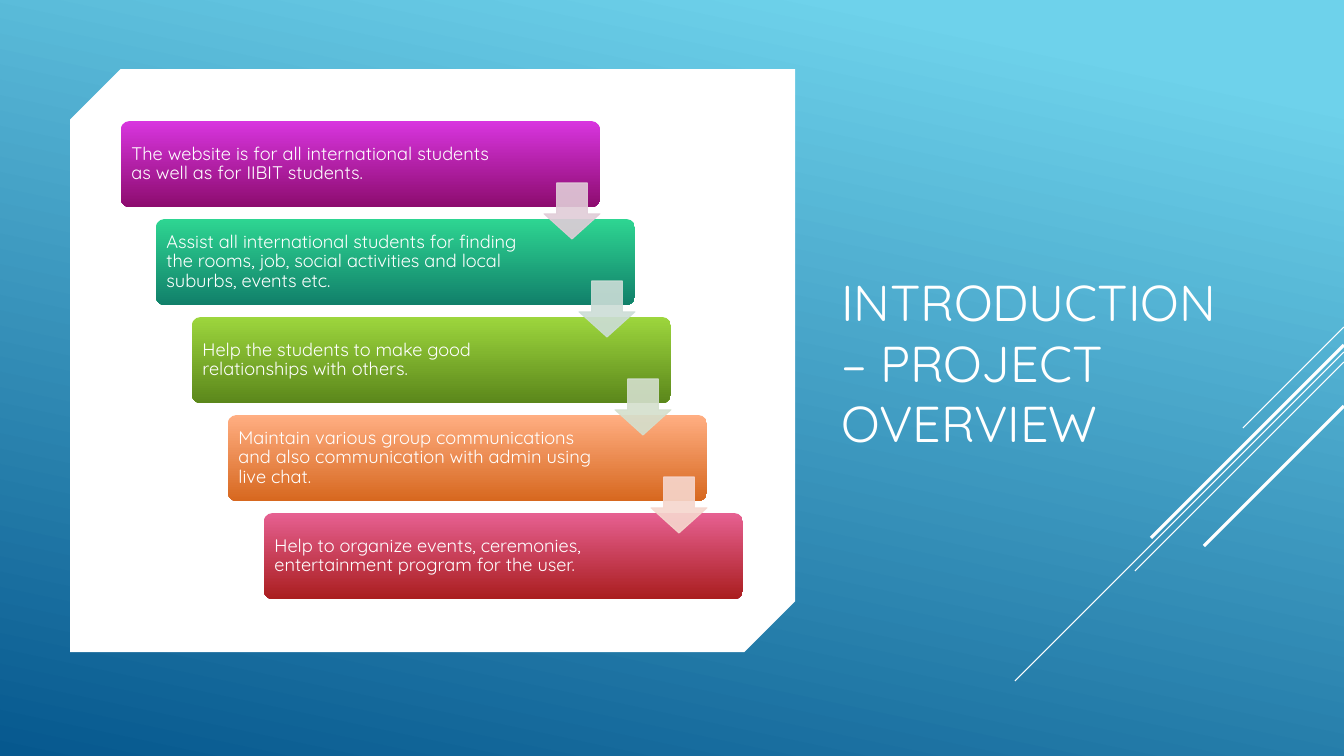
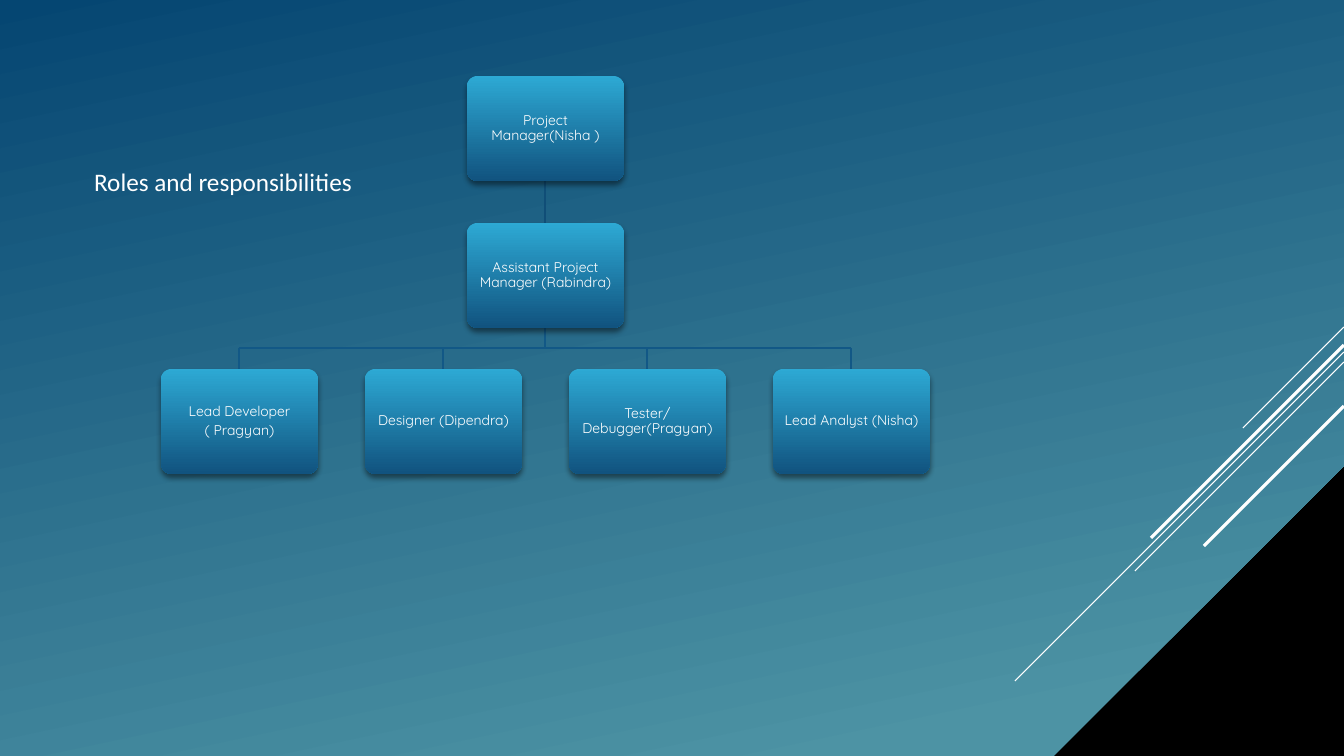
from lxml import etree
from pptx import Presentation
from pptx.dml.color import RGBColor
from pptx.enum.shapes import MSO_CONNECTOR, MSO_SHAPE
from pptx.enum.text import MSO_ANCHOR, MSO_AUTO_SIZE, PP_ALIGN
from pptx.oxml.ns import qn
from pptx.util import Pt

LINE = MSO_CONNECTOR.STRAIGHT
ROUND, SNIP, ARROW = (MSO_SHAPE.ROUNDED_RECTANGLE,
                      MSO_SHAPE.SNIP_2_DIAG_RECTANGLE, MSO_SHAPE.DOWN_ARROW)
LEFT, CENTER = PP_ALIGN.LEFT, PP_ALIGN.CENTER
TOP, MIDDLE, BOTTOM = MSO_ANCHOR.TOP, MSO_ANCHOR.MIDDLE, MSO_ANCHOR.BOTTOM

WHITE = RGBColor(0xFF, 0xFF, 0xFF)
BLACK = RGBColor(0x00, 0x00, 0x00)
SKY = RGBColor(0x6E, 0xD2, 0xEB)
NAVY = RGBColor(0x06, 0x58, 0x8E)
TEAL = RGBColor(0x4D, 0x93, 0xA4)
DEEP = RGBColor(0x05, 0x46, 0x72)
CYAN = RGBColor(0x2D, 0xA9, 0xD4)
BLUE = RGBColor(0x11, 0x53, 0x7F)
STEM = RGBColor(0x10, 0x4E, 0x77)
LIMB = RGBColor(0x12, 0x58, 0x86)
PURPLE = RGBColor(0xD8, 0x35, 0xDF), RGBColor(0x8D, 0x0C, 0x6F)
GREEN = RGBColor(0x2E, 0xD5, 0x92), RGBColor(0x11, 0x80, 0x6A)
LIME = RGBColor(0x9D, 0xD6, 0x3D), RGBColor(0x5B, 0x87, 0x1B)
ORANGE = RGBColor(0xFF, 0xAE, 0x82), RGBColor(0xD7, 0x68, 0x1F)
RED = RGBColor(0xE6, 0x60, 0x91), RGBColor(0xAA, 0x1E, 0x1F)
TINTS = [RGBColor(0xE1, 0xCC, 0xD8), RGBColor(0xCC, 0xDD, 0xD7),
         RGBColor(0xD4, 0xDF, 0xCD), RGBColor(0xF6, 0xD7, 0xCE)]

FONT = "Quicksand"
WIDE, HIGH = 1344, 756
PX = 12192000 / WIDE


def grad(fill, first, last, angle=270, start=0):
    """Fill with two colours; the angle runs counter-clockwise."""
    fill.gradient()
    fill.gradient_angle = angle
    for stop, color, place in zip(fill.gradient_stops, (first, last), (start, 1)):
        stop.color.rgb = color
        stop.position = place


def card(slide, x, y, w, h, text, colors, size, align, left, right):
    """Rounded box with a gradient and white text."""
    box = slide.shapes.add_shape(ROUND, *(round(v * PX) for v in (x, y, w, h)))
    box.adjustments[0] = 0.1
    box.shadow.inherit = False
    box.line.fill.background()
    grad(box.fill, *colors)
    frame = box.text_frame
    frame.word_wrap = True
    frame.vertical_anchor = MIDDLE
    frame.margin_left, frame.margin_right = round(left * PX), round(right * PX)
    frame.text = text
    for para in frame.paragraphs:
        para.alignment = align
        para.line_spacing = 0.9
        para.space_after = Pt(3)
        para.font.name, para.font.size = FONT, Pt(size)
        para.font.color.rgb = WHITE
    return box


deck = Presentation()
deck.slide_width, deck.slide_height = round(WIDE * PX), round(HIGH * PX)
intro, roles = [deck.slides.add_slide(deck.slide_layouts[5]) for _ in range(2)]

# Backgrounds
grad(intro.background.fill, SKY, NAVY, 258, 0.1)
roles.background.fill.solid()
roles.background.fill.fore_color.rgb = BLACK
build = roles.shapes.build_freeform(0, 0, scale=PX)
build.add_line_segments([(WIDE, 0), (WIDE, 466), (1054, HIGH), (0, HIGH)])
pane = build.convert_to_shape()
pane.shadow.inherit = False
pane.line.fill.background()
grad(pane.fill, TEAL, DEEP, 102, 0.1)
roles.shapes._spTree.insert(2, pane._element)

# Titles
for slide, text, place, size, font, anchor in [
    (intro, "INTRODUCTION – PROJECT OVERVIEW", (831, 69, 403, 389), 36, FONT, BOTTOM),
    (roles, "Roles and responsibilities", (84, 161, 300, 40), 18, "Calibri", TOP),
]:
    title = slide.shapes.title
    title.left, title.top, title.width, title.height = (round(v * PX) for v in place)
    frame = title.text_frame
    frame.auto_size = MSO_AUTO_SIZE.NONE
    frame.word_wrap = True
    frame.vertical_anchor = anchor
    frame.text = text
    para = frame.paragraphs[0]
    para.alignment = LEFT
    para.font.name, para.font.size = font, Pt(size)
    para.font.color.rgb = WHITE

# Places of the chart boxes
BOX_W, BOX_H = 157, 105
ROWS = [76, 223, 369]
HEAD = 467
LEAVES = [161 + 204 * i for i in range(4)]
HALF = BOX_W // 2
MID, BAR = HEAD + HALF, 348

# Diagonal stripes of both slides, then the chart lines
lines = [(slide, WIDE, y, WIDE - run, y + run, WHITE, weight)
         for slide in (intro, roles)
         for y, run, weight in [(327, 101, 0.75), (352, 329, 0.75), (362, 209, 0.75),
                                (345, 193, 2.25), (406, 140, 2.25)]]
lines += [(roles, MID, ROWS[0] + BOX_H, MID, ROWS[1], STEM, 1.25),
          (roles, MID, ROWS[1] + BOX_H, MID, BAR, LIMB, 1.25),
          (roles, LEAVES[0] + HALF, BAR, LEAVES[-1] + HALF, BAR, LIMB, 1.25)]
lines += [(roles, x + HALF, BAR, x + HALF, ROWS[2], LIMB, 1.25) for x in LEAVES]
for slide, *ends, color, weight in lines:
    line = slide.shapes.add_connector(LINE, *(round(v * PX) for v in ends))
    line.line.color.rgb = color
    line.line.width = Pt(weight)
    etree.SubElement(line._element.spPr, qn("a:effectLst"))

# White panel
panel = intro.shapes.add_shape(SNIP, *(round(v * PX) for v in (70, 69, 725, 583)))
panel.adjustments[0], panel.adjustments[1] = 0.087, 0
panel.shadow.inherit = False
panel.fill.solid()
panel.fill.fore_color.rgb = WHITE
panel.line.fill.background()

# Steps going down
steps = [
    ("The website is for all international students as well as for IIBIT students.",
     PURPLE),
    ("Assist all international students for finding the rooms, job, social "
     "activities and local suburbs, events etc.", GREEN),
    ("Help the students to make good relationships with others.", LIME),
    ("Maintain various group communications and also communication with admin "
     "using live chat.", ORANGE),
    ("Help to organize events, ceremonies, entertainment program for the user.", RED),
]
for i, (text, colors) in enumerate(steps):
    card(intro, 121 + 143 * i // 4, 121 + 98 * i, 479, 86, text, colors, 13, LEFT, 8, 100)

# Arrows between the steps
for i, tint in enumerate(TINTS):
    place = (544 + 143 * i // 4, 183 + 98 * i, 56, 56)
    arrow = intro.shapes.add_shape(ARROW, *(round(v * PX) for v in place))
    arrow.adjustments[0], arrow.adjustments[1] = 0.55, 0.45
    arrow.shadow.inherit = False
    arrow.fill.solid()
    arrow.fill.fore_color.rgb = tint
    arrow.line.color.rgb = tint
    arrow.line.width = Pt(0.75)
    for node in list(arrow._element.spPr.iter(qn("a:srgbClr"))):
        etree.SubElement(node, qn("a:alpha"), val="90000")

# Team chart
team = [(HEAD, ROWS[0], "Project Manager(Nisha )"),
        (HEAD, ROWS[1], "Assistant Project Manager (Rabindra)")]
team += [(x, ROWS[2], text) for x, text in zip(LEAVES, [
    "Lead Developer\n( Pragyan)", "Designer (Dipendra)",
    "Tester/ Debugger(Pragyan)", "Lead Analyst (Nisha)"])]
for x, y, text in team:
    box = card(roles, x, y, BOX_W, BOX_H, text, (CYAN, BLUE), 10, CENTER, 7, 7)
    effects = box._element.spPr.find(qn("a:effectLst"))
    shade = etree.SubElement(effects, qn("a:outerShdw"), blurRad=str(Pt(4)),
                             dist=str(Pt(3)), dir="5400000", rotWithShape="0")
    tone = etree.SubElement(shade, qn("a:srgbClr"), val=str(BLACK))
    etree.SubElement(tone, qn("a:alpha"), val="46000")

deck.save("out.pptx")
